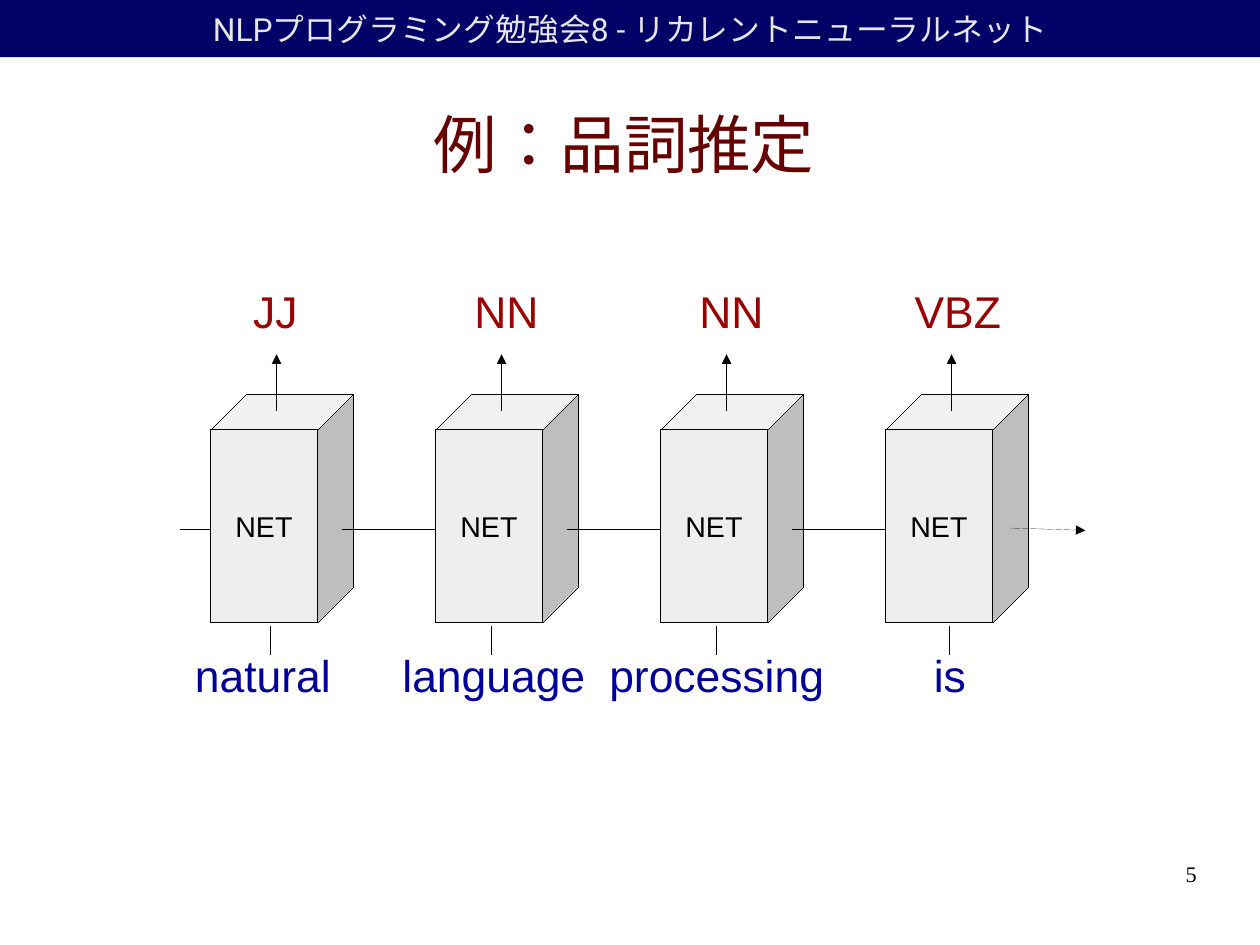
from lxml import etree
from pptx import Presentation
from pptx.dml.color import RGBColor
from pptx.enum.lang import MSO_LANGUAGE_ID
from pptx.enum.shapes import MSO_CONNECTOR, MSO_SHAPE
from pptx.enum.text import MSO_ANCHOR, PP_ALIGN
from pptx.oxml.ns import qn
from pptx.util import Cm, Inches, Pt

CUBE, RECTANGLE = MSO_SHAPE.CUBE, MSO_SHAPE.RECTANGLE
STRAIGHT = MSO_CONNECTOR.STRAIGHT
TOP, MIDDLE = MSO_ANCHOR.TOP, MSO_ANCHOR.MIDDLE
CENTER, RIGHT = PP_ALIGN.CENTER, PP_ALIGN.RIGHT
JAPANESE = MSO_LANGUAGE_ID.JAPANESE

NAVY = RGBColor(0x00, 0x00, 0x66)
PALE = RGBColor(0xE6, 0xE6, 0xE6)
MAROON = RGBColor(0x66, 0x00, 0x00)
RED = RGBColor(0x99, 0x00, 0x00)
BLUE = RGBColor(0x00, 0x00, 0x99)
GRAY = RGBColor(0xEE, 0xEE, 0xEE)
BLACK = RGBColor(0x00, 0x00, 0x00)

HEADER = "NLPプログラミング勉強会8 - リカレントニューラルネット"
TITLE = "例：品詞推定"
PAGE_NUMBER = "5"
NET = "NET"
# word, its centre, the centre of its input line, tag, centre of the tag
STEPS = [
    ("natural", 2.30, 2.37, "JJ", 2.41),
    ("language", 4.32, 4.30, "NN", 4.43),
    ("processing", 6.27, 6.27, "NN", 6.40),
    ("is", 8.31, 8.31, "VBZ", 8.38),
]

PAGE_SIZE = Cm(28), Cm(21)
WIDTH = PAGE_SIZE[0].inches
FIRST_CUBE, PITCH = 1.84, Cm(5).inches
CUBE_TOP, CUBE_WIDTH, CUBE_HEIGHT = 3.45, 1.25, 2
STATE_Y = 4.63
TAG_TOP, WORD_TOP = 2.44, 5.62
LABEL_WIDTH, LABEL_HEIGHT = 2.1, 0.63

HEADER_FONT = {"size": Pt(20), "name": "Roboto"}
TITLE_FONT = {"size": Pt(40), "name": "Arial", "language_id": JAPANESE}
NET_FONT = {"size": Pt(18), "name": "Arial"}
LABEL_FONT = {"size": Pt(28), "name": "Arial"}
NUMBER_FONT = {"size": Pt(14), "name": "Times New Roman"}


def write(box, text, font, color, align=CENTER, anchor=MIDDLE, wrap=True, margins=(0, 0)):
    """Fill a box with one paragraph; margins are (sides, top and bottom)."""
    frame = box.text_frame
    sides, ends = (Inches(margin) for margin in margins)
    layout = {"word_wrap": wrap, "vertical_anchor": anchor, "margin_left": sides,
              "margin_right": sides, "margin_top": ends, "margin_bottom": ends}
    for name, value in layout.items():
        setattr(frame, name, value)
    para = frame.paragraphs[0]
    para.alignment = align
    span = para.add_run()
    span.text = text
    for name, value in font.items():
        setattr(span.font, name, value)
    span.font.color.rgb = color


def add_box(page, left, top, width, height):
    return page.shapes.add_textbox(*map(Inches, (left, top, width, height)))


def add_solid(page, kind, left, top, width, height, fill):
    solid = page.shapes.add_shape(kind, *map(Inches, (left, top, width, height)))
    solid.shadow.inherit = False
    solid.fill.solid()
    solid.fill.fore_color.rgb = fill
    return solid


def add_label(page, text, center, top, color):
    box = add_box(page, center - LABEL_WIDTH / 2, top, LABEL_WIDTH, LABEL_HEIGHT)
    write(box, text, LABEL_FONT, color, anchor=TOP, wrap=False, margins=(0.1, 0.05))


def draw_hairline(line):
    """Make a black outline of width zero, which has to be stated in the XML."""
    line.color.rgb = BLACK
    outline = line._get_or_add_ln()
    outline.set("w", "0")
    return outline


def add_line(page, start, end, arrow=False):
    line = page.shapes.add_connector(STRAIGHT, *map(Inches, (*start, *end)))
    outline = draw_hairline(line.line)
    if arrow:
        etree.SubElement(outline, qn("a:tailEnd"), type="triangle")
    etree.SubElement(line._element.spPr, qn("a:effectLst"))


def add_cube(page, left):
    cube = add_solid(page, CUBE, left, CUBE_TOP, CUBE_WIDTH, CUBE_HEIGHT, GRAY)
    cube.adjustments[0] = 0.25
    draw_hairline(cube.line)
    write(cube, NET, NET_FONT, BLACK, wrap=False, margins=(0.1, 0.05))


def add_network(page):
    lefts = [FIRST_CUBE + PITCH * column for column in range(len(STEPS))]
    for left in lefts:
        add_cube(page, left)
    for left, (word, word_x, input_x, tag, tag_x) in zip(lefts, STEPS):
        state_start = left - (0.26 if left == FIRST_CUBE else 0.81)
        output_x = left + 0.58
        add_line(page, (state_start, STATE_Y), (left - 0.01, STATE_Y))
        add_line(page, (output_x, 3.6), (output_x, 3.1), arrow=True)
        add_line(page, (input_x, 5.73), (input_x, 5.48))
        add_label(page, word, word_x, WORD_TOP, BLUE)
        add_label(page, tag, tag_x, TAG_TOP, RED)
    add_line(page, (lefts[-1] + 1.09, 4.62), (lefts[-1] + 1.75, 4.64), arrow=True)


def main():
    deck = Presentation()
    deck.slide_width, deck.slide_height = PAGE_SIZE
    page = deck.slides.add_slide(deck.slide_layouts[6])

    header = add_solid(page, RECTANGLE, 0, 0, WIDTH, 0.5, NAVY)
    header.line.fill.background()
    write(header, HEADER, HEADER_FONT, PALE, margins=(0.1, 0.05))
    write(add_box(page, 0.5, 0.62, WIDTH * 0.9, 1.27), TITLE, TITLE_FONT, MAROON)
    add_network(page)
    number = add_box(page, 7.9, 7.53, 2.57, 0.57)
    write(number, PAGE_NUMBER, NUMBER_FONT, BLACK, align=RIGHT, anchor=TOP)
    deck.save("out.pptx")


if __name__ == "__main__":
    main()
